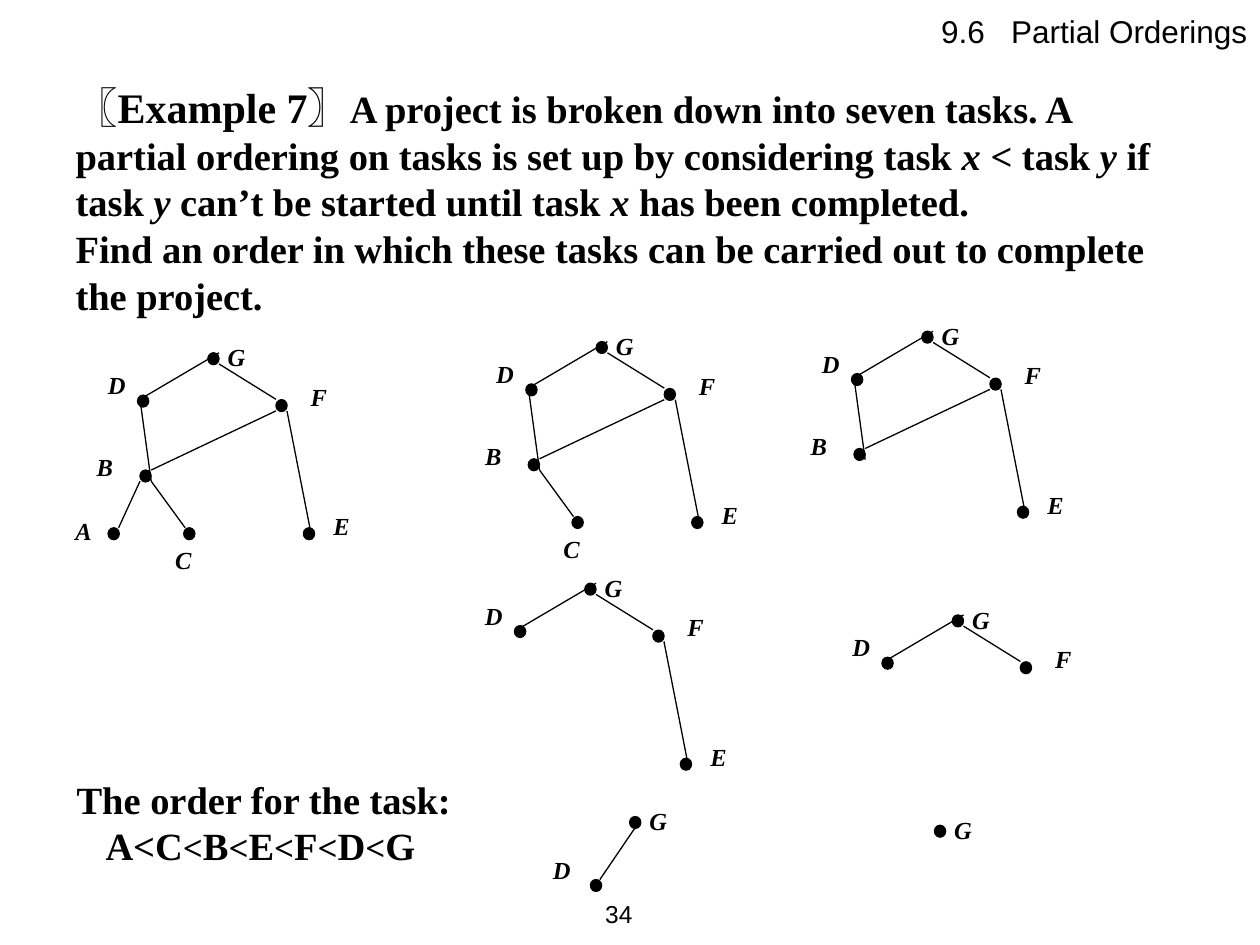
from lxml.etree import SubElement
from pptx import Presentation
from pptx.dml.color import RGBColor
from pptx.enum.shapes import MSO_CONNECTOR, MSO_SHAPE
from pptx.enum.text import MSO_ANCHOR, MSO_AUTO_SIZE, PP_ALIGN
from pptx.oxml.ns import qn
from pptx.util import Pt

COLORS = {"ink": "000000", "paper": "FFFFFF"}
SERIF, SANS, CJK = "Times New Roman", "Arial", "Noto Sans CJK SC"

# Offsets in points from the top left corner of the dot of task G.
DOTS = {"G": (0, 0), "D": (-40.2, 24.2), "F": (38.9, 26.8), "B": (-38.8, 67),
        "A": (-57, 100), "C": (-13.8, 100), "E": (54.6, 100)}
LABELS = {"G": (4.2, -9.4), "D": (-64.2, 6.4), "F": (51.6, 13), "B": (-70.6, 53.3),
          "A": (-82.8, 90), "C": (-25.8, 106.4), "E": (64.6, 87)}
EDGES = {"GD": ((6.4, 0), (-38.8, 26.6)), "GF": ((6.4, 6.4), (38.9, 26.6)),
         "BF": ((-32.4, 67), (38.9, 33.2)), "BA": ((-38.8, 73.4), (-51, 100)),
         "BC": ((-32.4, 73.4), (-13, 100)), "FE": ((45.2, 33.2), (59.6, 106.6)),
         "DB": ((-38.8, 26.6), (-32.4, 73.4))}

# Remaining tasks and the place of G, one step of the sort after another.
STEPS = [("GDFBACE", (118.8, 201.6)), ("GDFBCE", (340.7, 195.2)),
         ("GDFBE", (526.8, 189.3)), ("GDFE", (334.2, 333.3)),
         ("GDF", (544.2, 351.4)), ("GD", (359.8, 466.6)), ("G", (534, 471.6))]
SHORT_STEP = "GD"
SHORT_DOT, SHORT_LABEL = (-22.4, 36), (-51, 18.7)
SHORT_EDGE = ((6, 2.2), (-17, 36))

EXAMPLE = [
    [("A project is broken down into seven tasks. A", False)],
    [("partial ordering on tasks is set up by considering task ", False), ("x", True),
     (" < task ", False), ("y", True), (" if", False)],
    [("task ", False), ("y ", True), ("can’t be started until task ", False),
     ("x", True), (" has been completed.", False)],
    [("Find an order in which these tasks can be carried out to complete", False)],
    [("the project.", False)],
]


def write(paragraph, text, font=SERIF, size=22, bold=True, italic=False,
          color="ink", tracking=0):
    run = paragraph.add_run()
    run.text = text
    style = run.font
    style.name, style.size, style.bold, style.italic = font, Pt(size), bold, italic
    style.color.rgb = RGBColor.from_string(COLORS[color])
    properties = run.font._element
    SubElement(properties, qn("a:ea")).set("typeface", font)
    if tracking:
        properties.set("spc", str(tracking * 100))


def set_paragraph(paragraph, align=PP_ALIGN.LEFT, line=None, margin=0, hang=0):
    """Fix alignment, line height and indents, without a bullet."""
    paragraph.alignment = align
    paragraph.space_before = paragraph.space_after = Pt(0)
    if line:
        paragraph.line_spacing = Pt(line)
    properties = paragraph._p.get_or_add_pPr()
    properties.set("marL", str(Pt(margin)))
    properties.set("indent", str(Pt(-hang)))
    SubElement(properties, qn("a:buNone"))


class SlideBuilder:
    def __init__(self, slide, line_width=0.75, dot_size=(6.4, 6.8), label_size=(39, 33.8)):
        self.slide = slide
        self.line_width, self.dot_size, self.label_size = line_width, dot_size, label_size
        self.ink = RGBColor.from_string(COLORS["ink"])
        background = slide.background.fill
        background.solid()
        background.fore_color.rgb = RGBColor.from_string(COLORS["paper"])

    def frame(self, holder, wrap=True, anchor=MSO_ANCHOR.TOP):
        text_frame = holder.text_frame
        text_frame.word_wrap = wrap
        text_frame.auto_size = MSO_AUTO_SIZE.NONE
        text_frame.vertical_anchor = anchor
        return text_frame

    def placeholder(self, index, left, top, width, height):
        holder = self.slide.placeholders[index]
        holder.left, holder.top, holder.width, holder.height = map(
            Pt, (left, top, width, height))
        return self.frame(holder)

    def text_box(self, left, top, width, height, shapes=None, **options):
        shapes = shapes or self.slide.shapes
        return self.frame(shapes.add_textbox(*map(Pt, (left, top, width, height))), **options)

    def dot(self, shapes, left, top):
        task = shapes.add_shape(MSO_SHAPE.FLOWCHART_CONNECTOR,
                                *map(Pt, (left, top, *self.dot_size)))
        task.shadow.inherit = False
        task.fill.solid()
        task.fill.fore_color.rgb = task.line.color.rgb = self.ink
        task.line.width = Pt(self.line_width)

    def edge(self, shapes, start, end):
        link = shapes.add_connector(MSO_CONNECTOR.STRAIGHT, *map(Pt, (*start, *end)))
        link.line.color.rgb = self.ink
        link.line.width = Pt(self.line_width)
        SubElement(link._element.spPr, qn("a:effectLst"))

    def label(self, shapes, task, left, top):
        paragraph = self.text_box(left, top, *self.label_size, shapes=shapes).paragraphs[0]
        paragraph.alignment = PP_ALIGN.JUSTIFY
        write(paragraph, task, size=14, italic=True)

    def hasse_diagram(self, tasks, origin):
        shapes = self.slide.shapes.add_group_shape().shapes
        dots, labels, edges = DOTS, LABELS, EDGES
        if tasks == SHORT_STEP:
            dots = {**DOTS, "D": SHORT_DOT}
            labels = {**LABELS, "D": SHORT_LABEL}
            edges = {"GD": SHORT_EDGE}

        def place(offset):
            return origin[0] + offset[0], origin[1] + offset[1]

        for task in tasks:
            self.dot(shapes, *place(dots[task]))
            self.label(shapes, task, *place(labels[task]))
        for (upper, lower), (start, end) in edges.items():
            if upper in tasks and lower in tasks:
                self.edge(shapes, place(start), place(end))


def main():
    presentation = Presentation()
    presentation.slide_width, presentation.slide_height = Pt(720), Pt(540)
    builder = SlideBuilder(presentation.slides.add_slide(presentation.slide_layouts[1]))

    section = builder.placeholder(0, 378, 3, 342, 29).paragraphs[0]
    set_paragraph(section, align=PP_ALIGN.RIGHT)
    for text, tracking in (("9.6", 0), (" ", 10), ("Partial Orderings", 0)):
        write(section, text, font=SANS, size=18, bold=False, tracking=tracking)

    example = builder.placeholder(1, 36, 41.8, 660, 143.3)
    for number, pieces in enumerate(EXAMPLE):
        paragraph = example.add_paragraph() if number else example.paragraphs[0]
        set_paragraph(paragraph, line=26.6 if number else 29.8, margin=36, hang=36)
        if number == 0:
            write(paragraph, "〖", font=CJK, size=24)
            write(paragraph, "Example 7〗", size=24)
        for text, italic in pieces:
            write(paragraph, text, italic=italic)

    for tasks, origin in STEPS:
        builder.hasse_diagram(tasks, origin)

    answer = builder.text_box(36.7, 440, 260.6, 59.8)
    heading, order = answer.paragraphs[0], answer.add_paragraph()
    set_paragraph(heading, line=26.4, margin=36, hang=36)
    write(heading, "The order for the task:")
    set_paragraph(order, line=26.4, margin=16.5)
    for position, task in enumerate("ACBEFDG"):
        if position:
            write(order, "<", size=20 if position > 1 else 22)
        write(order, task)

    page = builder.text_box(320.4, 504, 48.2, 36, wrap=False, anchor=MSO_ANCHOR.MIDDLE)
    set_paragraph(page.paragraphs[0], align=PP_ALIGN.RIGHT)
    write(page.paragraphs[0], "34", font=SANS, size=14, bold=False)

    presentation.save("out.pptx")


if __name__ == "__main__":
    main()
